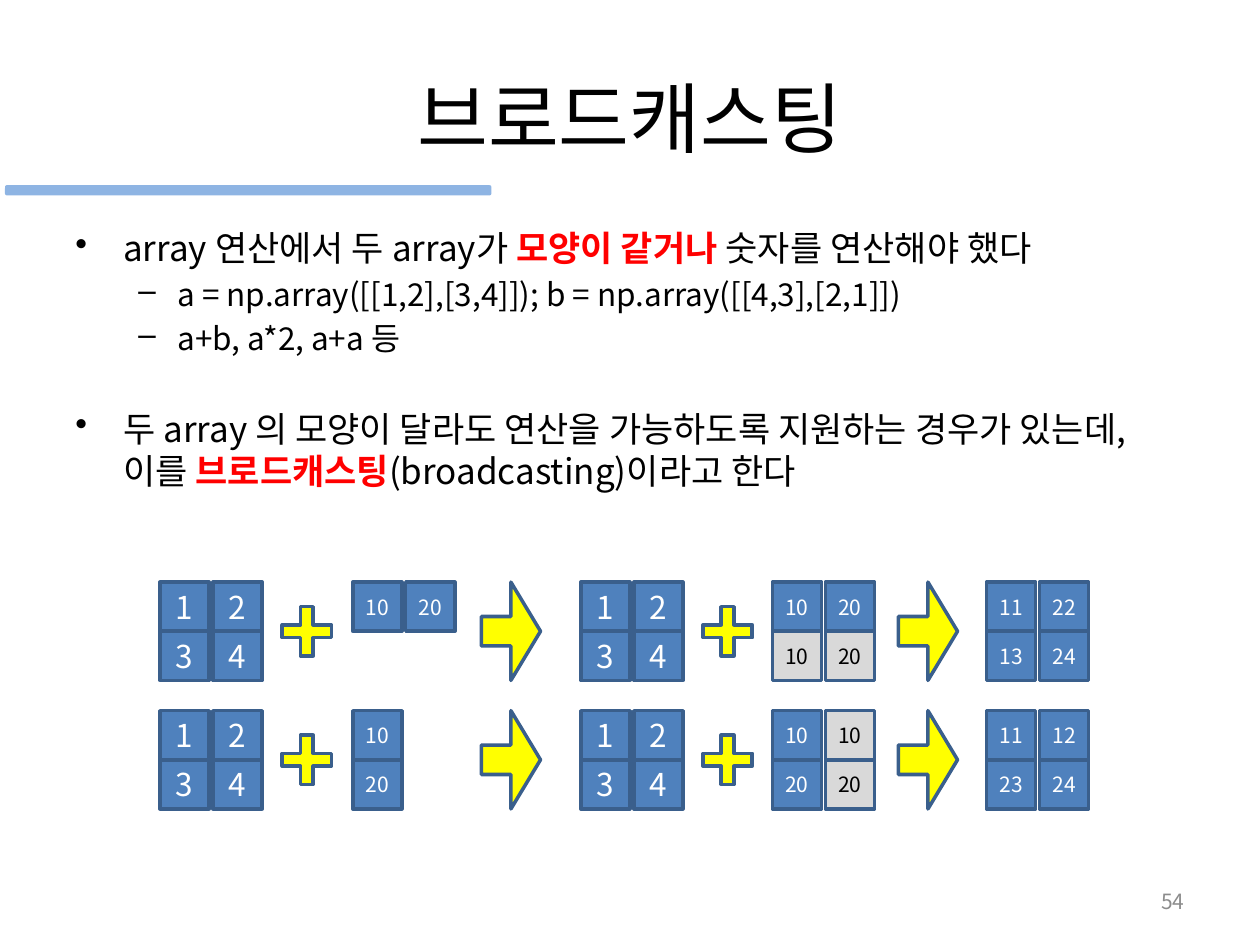
import pptx
import pptx.util
import pptx.dml.color
import pptx.enum.shapes
import pptx.enum.text
import pptx.oxml
import pptx.oxml.ns

Inches = pptx.util.Inches
Pt = pptx.util.Pt
RGBColor = pptx.dml.color.RGBColor
Shape = pptx.enum.shapes.MSO_SHAPE
Align = pptx.enum.text.PP_ALIGN
Anchor = pptx.enum.text.MSO_ANCHOR
qn = pptx.oxml.ns.qn

BLACK = RGBColor(0x00, 0x00, 0x00)
WHITE = RGBColor(0xFF, 0xFF, 0xFF)
RED = RGBColor(0xFF, 0x00, 0x00)
BLUE = RGBColor(0x4F, 0x81, 0xBD)
OUTLINE = RGBColor(0x3A, 0x5F, 0x8C)
YELLOW = RGBColor(0xFF, 0xFF, 0x00)
LIGHT_GRAY = RGBColor(0xD9, 0xD9, 0xD9)
LIGHT_BLUE = RGBColor(0x8E, 0xB4, 0xE3)
PAGE_GRAY = RGBColor(0x8C, 0x8C, 0x8C)

CELL = 0.39
COLUMN_STEP = 0.42


class Page:
    font = "Noto Sans CJK KR"

    def __init__(self, deck):
        self.slide = deck.slides.add_slide(deck.slide_layouts[6])

    def style(self, span, size, color, bold=False):
        span.font.name = self.font
        span.font.size = Pt(size)
        span.font.bold = bold
        span.font.color.rgb = color
        east_asian = pptx.oxml.parse_xml(
            f'<a:ea {pptx.oxml.ns.nsdecls("a")} typeface="{self.font}"/>')
        span.font._element.find(qn("a:latin")).addnext(east_asian)

    def text_box(self, left, top, width, height, anchor):
        box = self.slide.shapes.add_textbox(
            Inches(left), Inches(top), Inches(width), Inches(height))
        box.text_frame.word_wrap = True
        box.text_frame.vertical_anchor = anchor
        return box

    def label(self, text, left, top, width, height, size, color, align):
        box = self.text_box(left, top, width, height, Anchor.MIDDLE)
        box.text_frame.text = text
        para = box.text_frame.paragraphs[0]
        para.alignment = align
        self.style(para.runs[0], size, color)

    def bullets(self, items, left, top, width, height):
        frame = self.text_box(left, top, width, height, Anchor.TOP).text_frame
        for index, (level, before, spans) in enumerate(items):
            para = frame.add_paragraph() if index else frame.paragraphs[0]
            size, spacing, margin, indent, mark = (
                (18, 21.5, 0.81, -0.31, "–") if level
                else (20, 24, 0.38, -0.38, "•"))
            para.level = level
            para.space_before = Pt(before)
            para.line_spacing = Pt(spacing)
            properties = para._p.get_or_add_pPr()
            properties.set("marL", str(Inches(margin)))
            properties.set("indent", str(Inches(indent)))
            properties.append(pptx.oxml.parse_xml(
                f'<a:buChar {pptx.oxml.ns.nsdecls("a")} char="{mark}"/>'))
            for text, strong in spans:
                span = para.add_run()
                span.text = text
                self.style(span, size, RED if strong else BLACK, strong)

    def shape(self, kind, left, top, width, height, fill, outline=OUTLINE,
              adjustments=()):
        shape = self.slide.shapes.add_shape(
            kind, Inches(left), Inches(top), Inches(width), Inches(height))
        shape.shadow.inherit = False
        shape.fill.solid()
        shape.fill.fore_color.rgb = fill
        if outline is None:
            shape.line.fill.background()
        else:
            shape.line.color.rgb = outline
            shape.line.width = Pt(2)
        for index, value in enumerate(adjustments):
            shape.adjustments[index] = value
        return shape

    def matrix(self, rows, left, top, size=12, repeated=()):
        for r, row in enumerate(rows):
            for c, value in enumerate(row):
                gray = (r, c) in repeated
                cell = self.shape(
                    Shape.RECTANGLE, left + c * COLUMN_STEP, top + r * CELL,
                    CELL, CELL, LIGHT_GRAY if gray else BLUE)
                frame = cell.text_frame
                frame.margin_left = frame.margin_right = 0
                frame.margin_top = frame.margin_bottom = 0
                frame.vertical_anchor = Anchor.MIDDLE
                frame.text = str(value)
                para = frame.paragraphs[0]
                para.alignment = Align.CENTER
                self.style(para.runs[0], size, BLACK if gray else WHITE)

    def plus(self, left, top):
        self.shape(Shape.CROSS, left, top, CELL, CELL, YELLOW,
                   adjustments=(0.37,))

    def arrow(self, left, top):
        self.shape(Shape.RIGHT_ARROW, left, top, 0.47, 2 * CELL, YELLOW,
                   adjustments=(0.3, 0.5))


deck = pptx.Presentation()
deck.slide_width, deck.slide_height = Inches(10), Inches(7.5)
page = Page(deck)

# Title and accent bar
page.label("브로드캐스팅", 0.5, 0.3, 9, 1.25, 44, BLACK, Align.CENTER)
page.shape(Shape.ROUNDED_RECTANGLE, 0.04, 1.47, 3.86, 0.08, LIGHT_BLUE, None)

# Explanation: level, space before, (text, emphasised) spans
page.bullets([
    (0, 4, [("array 연산에서 두 array가 ", False), ("모양이 같거나", True),
            (" 숫자를 연산해야 했다", False)]),
    (1, 3.6, [("a = np.array([[1,2],[3,4]]); b = np.array([[4,3],[2,1]])",
               False)]),
    (1, 3.6, [("a+b, a*2, a+a 등", False)]),
    (0, 29, [("두 array 의 모양이 달라도 연산을 가능하도록 지원하는 경우가 있는데, 이를 ",
              False),
             ("브로드캐스팅", True), ("(broadcasting)이라고 한다", False)]),
], 0.5, 1.75, 9, 4.95)

# Broadcasting examples: top, operand, stretched operand, repeated cells, sum
base = [[1, 2], [3, 4]]
examples = [
    (4.62, [[10, 20]], [[10, 20], [10, 20]], {(1, 0), (1, 1)},
     [[11, 22], [13, 24]]),
    (5.64, [[10], [20]], [[10, 10], [20, 20]], {(0, 1), (1, 1)},
     [[11, 12], [23, 24]]),
]
for top, operand, stretched, repeated, total in examples:
    for base_left, arrow_left in ((1.27, 3.82), (4.61, 7.13)):
        page.matrix(base, base_left, top, 18)
        page.plus(base_left + 0.97, top + CELL / 2)
        page.arrow(arrow_left, top)
    page.matrix(operand, 2.8, top)
    page.matrix(stretched, 6.13, top, repeated=repeated)
    page.matrix(total, 7.83, top)

# Page number
page.label("54", 7.17, 6.95, 2.33, 0.4, 12, PAGE_GRAY, Align.RIGHT)

deck.save("out.pptx")
